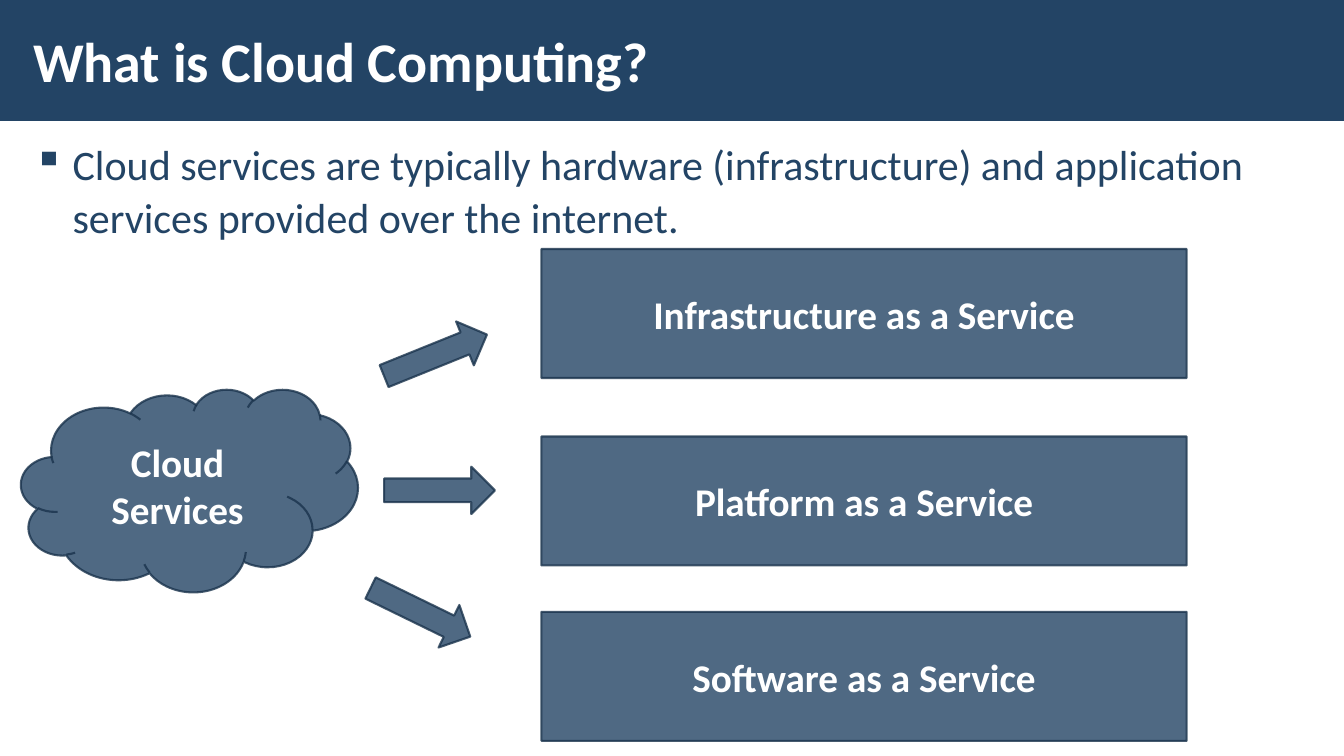
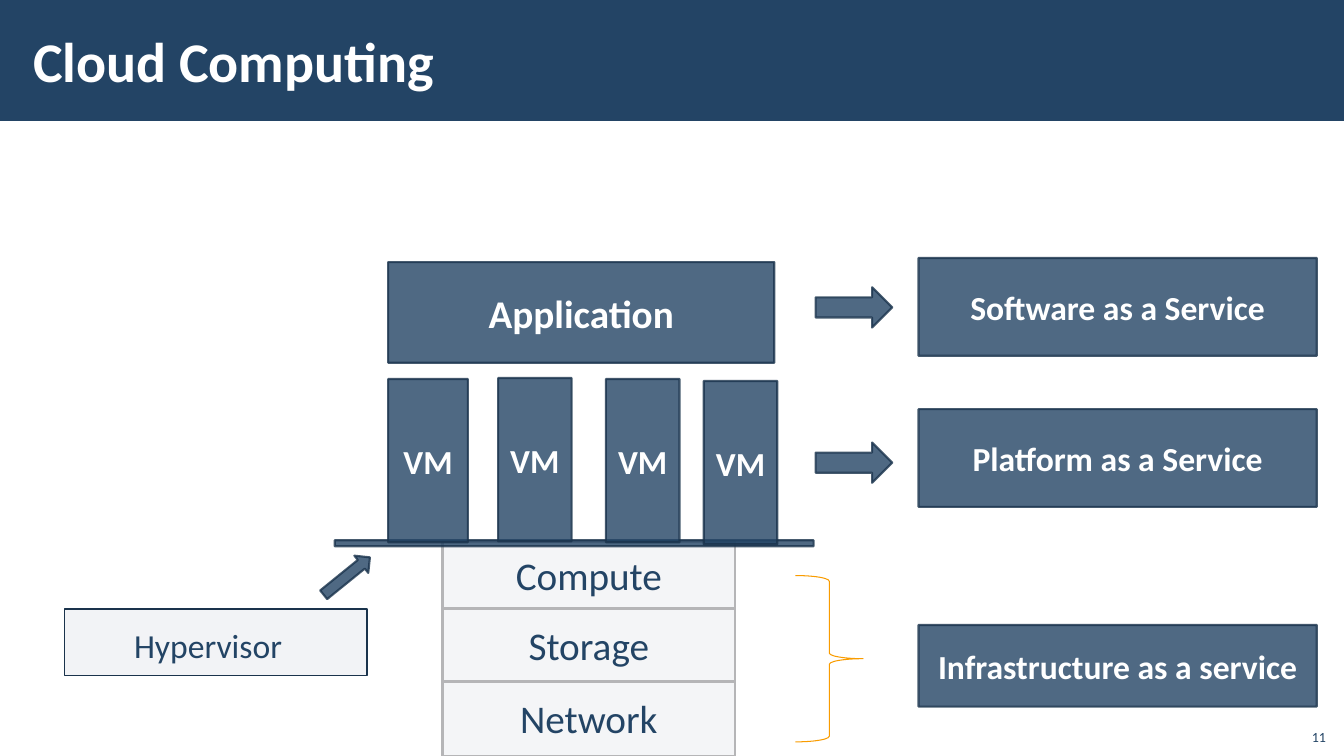
from pptx import Presentation
from pptx.dml import color
from pptx.enum import shapes, text
from pptx.oxml import ns
from pptx.util import Inches, Pt
from lxml import etree

INK = {"navy": "234465", "edge": "1A334C", "white": "FFFFFF", "pale": "F4F5F7",
       "grey": "B5B5B7", "mist": "ADB4C3", "amber": "F99C00"}
FONT = "Calibri"
KIND = shapes.MSO_SHAPE
ALIGN = text.PP_ALIGN
ANCHOR = text.MSO_ANCHOR


def tint(part, name, alpha=100):
    """Set the colour of a solid fill, with opacity in percent."""
    part.solid()
    part.fore_color.rgb = color.RGBColor.from_string(INK[name])
    if alpha < 100:
        tone = part._xPr.find(".//" + ns.qn("a:srgbClr"))
        etree.SubElement(tone, ns.qn("a:alpha")).set("val", str(alpha * 1000))


def write(shape, words, size=28, ink="white", bold=False, align=ALIGN.CENTER,
          anchor=ANCHOR.MIDDLE, pad=(0.1, 0.05), lead=None, gap=0,
          indent=0, bullet=None):
    frame = shape.text_frame
    frame.word_wrap = True
    frame.vertical_anchor = anchor
    frame.margin_left = frame.margin_right = Inches(pad[0])
    frame.margin_top = frame.margin_bottom = Inches(pad[1])
    para = frame.paragraphs[0]
    para.alignment = align
    para.space_before = para.space_after = Pt(gap)
    if lead:
        para.line_spacing = lead
    props = para._p.get_or_add_pPr()
    if indent:
        props.set("marL", str(Inches(indent)))
    if bullet:
        props.set("indent", str(-Inches(indent)))
        etree.SubElement(props, ns.qn("a:buChar")).set("char", bullet)
    run = para.add_run()
    run.text = words
    run.font.name, run.font.size, run.font.bold = FONT, Pt(size), bold
    run.font.color.rgb = color.RGBColor.from_string(INK[ink])


def label(slide, words, box, **style):
    write(slide.shapes.add_textbox(*map(Inches, box)), words, **style)


def draw(slide, kind, box, fill="navy", alpha=80, line="edge", width=1.5,
         edge=80, turn=0):
    shape = slide.shapes.add_shape(kind, *map(Inches, box))
    shape.shadow.inherit = False
    shape.rotation = turn
    if fill:
        tint(shape.fill, fill, alpha)
    else:
        shape.fill.background()
    if line:
        tint(shape.line.fill, line, edge)
        shape.line.width = Pt(width)
    else:
        shape.line.fill.background()
    return shape


def block(slide, words, box, size=28, kind=KIND.RECTANGLE):
    write(draw(slide, kind, box), words, size=size, bold=True)


def layer(slide, words, top, high):
    shape = draw(slide, KIND.RECTANGLE, (4.39, top, 2.9, high), fill="pale",
                 alpha=100, line="grey", width=2, edge=100)
    write(shape, words, ink="navy")


def start(deck, title):
    """Add a slide with the shared title band."""
    slide = deck.slides.add_slide(deck.slide_layouts[6])
    draw(slide, KIND.RECTANGLE, (0, 0, 13.33, 1.2), alpha=100, line=None)
    label(slide, title, (0.21, 0.11, 10.63, 0.97), size=40, bold=True,
          align=ALIGN.LEFT, pad=(0.12, 0.04))
    return slide


def models(deck):
    slide = start(deck, "What is Cloud Computing?")
    label(slide, "Cloud services are typically hardware (infrastructure) and "
          "application services provided over the internet.",
          (0.21, 1.31, 12.92, 6.05), size=30, ink="navy", align=ALIGN.LEFT,
          anchor=ANCHOR.TOP, pad=(0.12, 0.04), lead=1.05, gap=6,
          indent=0.39, bullet="▪")

    # Cloud, and an arrow to each service
    block(slide, "Cloud Services", (0.21, 3.86, 3.34, 2.01), kind=KIND.CLOUD)
    for name, top, left, mid, turn in (
            ("Infrastructure", 2.47, 3.77, 3.29, 338),
            ("Platform", 4.33, 3.81, 4.63, 0),
            ("Software", 6.07, 3.62, 5.84, 26)):
        block(slide, name + " as a Service", (5.37, top, 6.4, 1.28))
        draw(slide, KIND.RIGHT_ARROW, (left, mid, 1.1, 0.47), turn=turn)


def stack(deck):
    slide = start(deck, "Cloud Computing")
    label(slide, "11", (12.85, 7.12, 0.4, 0.32), size=10, ink="navy",
          align=ALIGN.RIGHT, anchor=ANCHOR.BOTTOM)

    # Hardware layers, from the bottom up
    layer(slide, "Network", 6.75, 0.75)
    layer(slide, "Storage", 6.04, 0.72)
    layer(slide, "Compute", 5.37, 0.67)
    draw(slide, KIND.RIGHT_BRACE, (7.89, 5.71, 0.67, 1.65), fill=None,
         line="amber", width=0.75, edge=100)

    # Hypervisor bar with its label
    draw(slide, KIND.RECTANGLE, (3.32, 5.36, 4.75, 0.06))
    note = draw(slide, KIND.RECTANGLE, (0.64, 6.04, 3, 0.66), fill="mist",
                alpha=15, width=1, edge=100)
    write(note, "Hypervisor", size=24, ink="navy", align=ALIGN.LEFT,
          anchor=ANCHOR.TOP, pad=(0.16, 0.12), lead=1.1, indent=0.53)
    draw(slide, KIND.UP_ARROW, (3.33, 5.42, 0.22, 0.59), turn=51)

    # Virtual machines and the application on top
    for left, top, wide in ((3.85, 3.76, 0.79), (4.94, 3.75, 0.73),
                            (6.01, 3.76, 0.73), (6.98, 3.78, 0.73)):
        block(slide, "VM", (left, top, wide, 1.62), size=24)
    block(slide, "Application", (3.85, 2.6, 3.83, 1))

    # Service models on the right
    for words, top, high in (("Software as a Service", 2.56, 0.97),
                             ("Platform as a Service", 4.06, 0.97),
                             ("Infrastructure as a service", 6.2, 0.81)):
        block(slide, words, (9.11, top, 3.95, high), size=24)
    for top in (2.85, 4.39):
        draw(slide, KIND.RIGHT_ARROW, (8.09, top, 0.76, 0.4))


def main():
    deck = Presentation()
    deck.slide_width, deck.slide_height = Inches(13.33), Inches(7.5)
    models(deck)
    stack(deck)
    deck.save("out.pptx")


if __name__ == "__main__":
    main()
